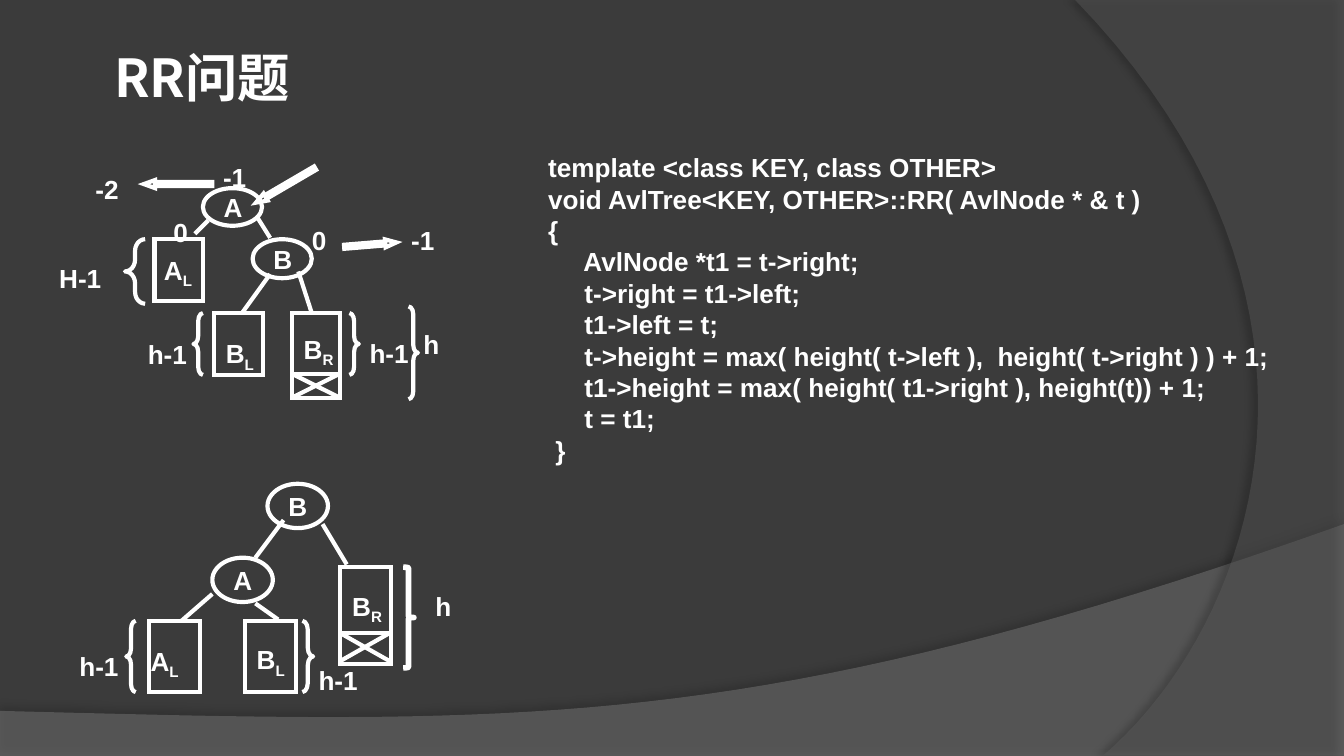
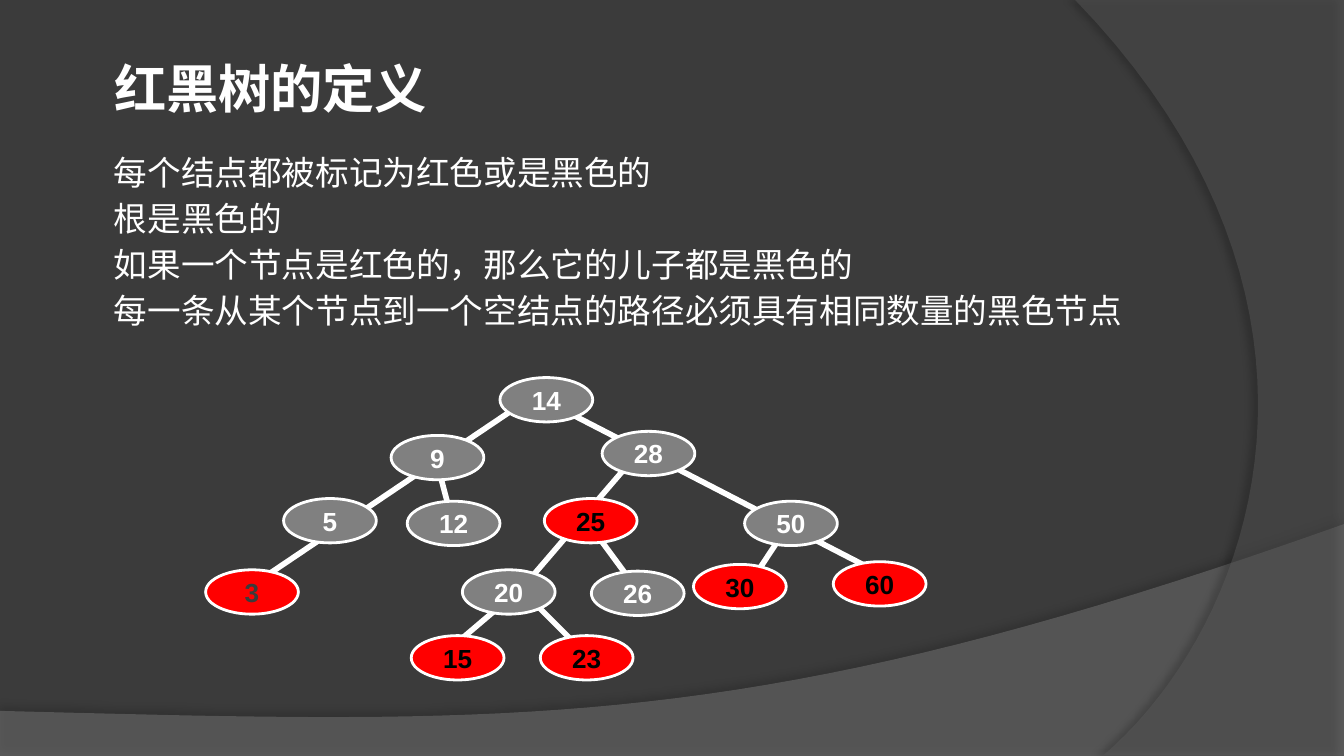
from pptx import Presentation
from pptx.dml.color import RGBColor
from pptx.enum.shapes import MSO_CONNECTOR, MSO_SHAPE
from pptx.enum.text import MSO_ANCHOR, MSO_AUTO_SIZE, PP_ALIGN
from pptx.oxml.ns import qn
from pptx.util import Inches, Pt
from lxml.etree import SubElement

WHITE, BLACK, DARK = "FFFFFF", "000000", "3B3B3B"
GRAY, RED = "808080", "FF0000"
HAN = "Noto Sans CJK SC"
OVAL, BOX, ARROW = MSO_SHAPE.OVAL, MSO_SHAPE.RECTANGLE, MSO_SHAPE.LEFT_ARROW
LEFT, RIGHT = MSO_SHAPE.LEFT_BRACE, MSO_SHAPE.RIGHT_BRACE


def tint(fill, color, alpha=None):
    fill.solid()
    fill.fore_color.rgb = RGBColor.from_string(color)
    if alpha:
        node = fill._xPr.find(".//" + qn("a:srgbClr"))
        SubElement(node, qn("a:alpha"), val=str(alpha * 1000))


def write(shape, text, size=14, font="Arial", color=WHITE, bold=True,
          align=None, inset=None, gap=0, hang=0, grow=False):
    frame = shape.text_frame
    frame.word_wrap = True
    if grow:
        frame.auto_size = MSO_AUTO_SIZE.SHAPE_TO_FIT_TEXT
    if inset is not None:
        frame.margin_left = frame.margin_right = Inches(inset)
        frame.margin_top = frame.margin_bottom = Inches(0.04)
    for row, line in enumerate(text.split("\n")):
        para = frame.add_paragraph() if row else frame.paragraphs[0]
        para.alignment = align
        if hang:
            prop = para._p.get_or_add_pPr()
            prop.set("marL", str(Inches(hang)))
            prop.set("indent", str(-Inches(hang)))
        if row and gap:
            para.space_before = Pt(gap)
        main, _, sub = line.partition("_")
        for part, base in ((main, None), (sub, "-25000")):
            if not part:
                continue
            run = para.add_run()
            run.text = part
            run.font.size, run.font.bold, run.font.name = Pt(size), bold, font
            tint(run.font.fill, color)
            prop = run._r.get_or_add_rPr()
            SubElement(prop, qn("a:ea"), typeface=HAN)
            if base:
                prop.set("baseline", base)


deck = Presentation()
deck.slide_width, deck.slide_height = Inches(10), Inches(10 * 9 / 16)
tint(deck.slide_master.background.fill, DARK)

bands = [
    ([(0, 5.29), (0, 5.63), (10, 5.63)],
     [(10, 3.9), (5.59, 5.47), (3.91, 5.39), (0, 5.29)],
     "7F7F7F", 45, 35, 3.5, 270),
    ([(10, 0), (10, 5.62)],
     [(8.21, 5.62), (9.35, 4.64), (10.18, 2.25), (8, 0)],
     "5E5E5E", 40, 45, 4, 180),
]
heads = [("RR问题", 0.29), ("红黑树的定义", 0.37)]

slides = []
for head, top in heads:
    slide = deck.slides.add_slide(deck.slide_layouts[6])
    slides.append(slide)
    for edge, curve, color, alpha, shade, dist, angle in bands:
        points = list(edge)
        for step in range(41):
            t = step / 40
            rates = ((1 - t) ** 3, 3 * t * (1 - t) ** 2, 3 * t * t * (1 - t), t ** 3)
            points.append(tuple(sum(r * p[axis] for r, p in zip(rates, curve))
                                for axis in (0, 1)))
        points = [(Inches(x), Inches(y)) for x, y in points]
        path = slide.shapes.build_freeform(*points[0])
        path.add_line_segments(points[1:], close=True)
        band = path.convert_to_shape()
        tint(band.fill, color, alpha)
        band.line.fill.background()
        band.shadow.inherit = False
        glow = SubElement(band.element.spPr.find(qn("a:effectLst")), qn("a:outerShdw"),
                          blurRad=str(Pt(4)), dist=str(Pt(dist)), dir=str(angle * 60000))
        tone = SubElement(glow, qn("a:srgbClr"), val=BLACK)
        SubElement(tone, qn("a:alpha"), val=str(shade * 1000))
    title = slide.shapes.add_textbox(Inches(0.75), Inches(top), Inches(4.51), Inches(0.57))
    write(title, head, size=28, font=HAN, grow=True)

code = """template <class KEY, class OTHER>
void AvlTree<KEY, OTHER>::RR( AvlNode * & t )
{
     AvlNode *t1 = t->right;
     t->right = t1->left;
     t1->left = t;
     t->height = max( height( t->left ),  height( t->right ) ) + 1;
     t1->height = max( height( t1->right ), height(t)) + 1;
     t = t1;
 }"""
rules = """每个结点都被标记为红色或是黑色的
根是黑色的
如果一个节点是红色的，那么它的儿子都是黑色的
每一条从某个节点到一个空结点的路径必须具有相同数量的黑色节点"""

area = slides[0].shapes.add_textbox(Inches(3.98), Inches(1.08), Inches(5.79), Inches(2.46))
write(area, code, grow=True)
area = slides[1].shapes.add_textbox(Inches(0.75), Inches(1.08), Inches(8.27), Inches(1.44))
write(area, rules, size=18, bold=False, gap=3, hang=0.67, grow=True)

before = {
    "slide": slides[0], "weight": 2.25,
    "lines": [(1.91, 1.61, 2.01, 1.77), (2.22, 2.02, 2.32, 2.33),
              (1.55, 1.64, 1.45, 1.74), (2.01, 2.04, 1.8, 2.33)],
    "cross": (2.17, 2.78, 2.53, 2.96),
    "shapes": [
        (OVAL, 1.51, 1.4, 0.44, 0.28, {"text": "A"}),
        (OVAL, 1.88, 1.78, 0.44, 0.29, {"text": "B"}),
        (BOX, 1.15, 1.78, 0.36, 0.46, {}),
        (BOX, 1.59, 2.33, 0.37, 0.46, {}),
        (BOX, 2.17, 2.33, 0.36, 0.63, {}),
        (LEFT, 0.93, 1.78, 0.15, 0.48, {"bend": (0.58, 0.5)}),
        (LEFT, 1.44, 2.33, 0.07, 0.46, {"bend": (0.85, 0.5)}),
        (RIGHT, 2.6, 2.33, 0.07, 0.46, {"bend": (0.85, 0.5)}),
        (RIGHT, 3.04, 2.28, 0.07, 0.69, {"bend": (0.83, 0.5)}),
        (ARROW, 1.07, 1.34, 0.51, 0.06, {"bend": (0.5, 1.39)}),
        (ARROW, 1.87, 1.35, 0.51, 0.06, {"bend": (0.5, 1.39), "turn": 329.7}),
        (ARROW, 2.56, 1.79, 0.39, 0.06, {"bend": (0.5, 1.39), "turn": 175.3}),
    ],
    "labels": [
        ("-2", 0.71, 1.25, 0.36, 0), ("-1", 1.66, 1.16, 0.36, 0),
        ("0", 1.29, 1.57, 0.36, 0), ("0", 2.32, 1.63, 0.36, 0),
        ("-1", 3.06, 1.63, 0.36, 0), ("h-1", 1.1, 2.48, 0.44, 0),
        ("h-1", 2.75, 2.47, 0.44, 0), ("h", 3.15, 2.4, 0.44, 0),
        ("H-1", 0.35, 1.91, 0.58, 0.09), ("A_L", 1.13, 1.85, 0.44, 0.09),
        ("B_L", 1.59, 2.47, 0.44, 0.09), ("B_R", 2.17, 2.44, 0.44, 0.09),
    ],
}
after = {
    "slide": slides[0], "weight": 2.25,
    "lines": [(1.58, 4.42, 1.35, 4.62), (2.4, 3.9, 2.58, 4.2),
              (1.9, 4.49, 2.07, 4.61), (2.11, 3.87, 1.9, 4.15)],
    "cross": (2.53, 4.71, 2.9, 4.92),
    "shapes": [
        (OVAL, 1.58, 4.15, 0.45, 0.33, {"text": "A"}),
        (OVAL, 1.99, 3.6, 0.45, 0.33, {"text": "B"}),
        (BOX, 1.11, 4.62, 0.38, 0.53, {}),
        (BOX, 1.82, 4.62, 0.38, 0.53, {}),
        (BOX, 2.53, 4.22, 0.38, 0.72, {}),
        (LEFT, 0.94, 4.62, 0.07, 0.53, {"bend": (0.85, 0.5)}),
        (RIGHT, 2.25, 4.62, 0.08, 0.53, {"bend": (0.83, 0.5)}),
        (RIGHT, 3, 4.22, 0.08, 0.75, {"bend": (0.08, 0.5), "weight": 3}),
    ],
    "labels": [
        ("h-1", 0.59, 4.8, 0.45, 0), ("h-1", 2.37, 4.9, 0.45, 0),
        ("h", 3.24, 4.35, 0.24, 0), ("A_L", 1.03, 4.76, 0.45, 0.09),
        ("B_L", 1.82, 4.75, 0.45, 0.09), ("B_R", 2.53, 4.35, 0.45, 0.09),
    ],
}
nodes = [
    ("14", 3.72, 2.81, GRAY, WHITE), ("12", 3.03, 3.73, GRAY, WHITE),
    ("5", 2.11, 3.71, GRAY, WHITE), ("3", 1.53, 4.24, RED, DARK),
    ("9", 2.91, 3.24, GRAY, WHITE), ("28", 4.48, 3.21, GRAY, WHITE),
    ("26", 4.4, 4.25, GRAY, WHITE), ("15", 3.06, 4.73, RED, BLACK),
    ("60", 6.2, 4.18, RED, BLACK), ("50", 5.54, 3.73, GRAY, WHITE),
    ("20", 3.44, 4.24, GRAY, WHITE), ("25", 4.05, 3.71, RED, BLACK),
    ("30", 5.16, 4.2, RED, BLACK), ("23", 4.02, 4.73, RED, BLACK),
]
colored = {
    "slide": slides[1], "weight": 3,
    "lines": [(3.83, 4.34, 4.4, 4.91), (4.36, 3.87, 4.78, 4.44),
              (5.89, 3.87, 5.54, 4.4), (3.78, 4.46, 3.25, 4.91),
              (3.25, 3.44, 3.39, 3.97), (4.74, 3.38, 3.83, 4.44),
              (4.17, 3.04, 6.69, 4.34), (3.83, 3.04, 1.75, 4.44)],
    "shapes": [(OVAL, x, y, 0.69, 0.33,
                {"text": key, "fill": fill, "ink": ink, "weight": 1.5, "inset": None})
               for key, x, y, fill, ink in nodes],
    "labels": [],
}

for tree in (before, after, colored):
    group = tree["slide"].shapes.add_group_shape().shapes
    lines = list(tree["lines"])
    if "cross" in tree:
        x, y, right, base = tree["cross"]
        lines += [(x, y, right, y), (right, y, x, base), (x, y, right, base)]
    for ends in lines:
        line = group.add_connector(MSO_CONNECTOR.STRAIGHT, *map(Inches, ends))
        line.line.width = Pt(tree["weight"])
        tint(line.line.fill, WHITE)
        SubElement(line.element.spPr, qn("a:effectLst"))
    for kind, x, y, wide, high, look in tree["shapes"]:
        shape = group.add_shape(kind, *map(Inches, (x, y, wide, high)))
        shape.shadow.inherit = False
        shape.rotation = look.get("turn", 0)
        for spot, value in enumerate(look.get("bend", ())):
            shape.adjustments[spot] = value
        if "fill" in look:
            tint(shape.fill, look["fill"])
        else:
            shape.fill.background()
        shape.line.width = Pt(look.get("weight", tree["weight"]))
        tint(shape.line.fill, WHITE)
        if kind in (ARROW, BOX):
            SubElement(shape.element.spPr.find(qn("a:ln")), qn("a:miter"), lim="800000")
        if "text" in look:
            shape.text_frame.vertical_anchor = MSO_ANCHOR.MIDDLE
            write(shape, look["text"], color=look.get("ink", WHITE),
                  align=PP_ALIGN.CENTER, inset=look.get("inset", 0.09))
    for text, x, y, wide, inset in tree["labels"]:
        high = 0.2 if tree is before else 0.23
        label = group.add_textbox(*map(Inches, (x, y, wide, high)))
        write(label, text, align=PP_ALIGN.JUSTIFY, inset=inset)

deck.save("out.pptx")
